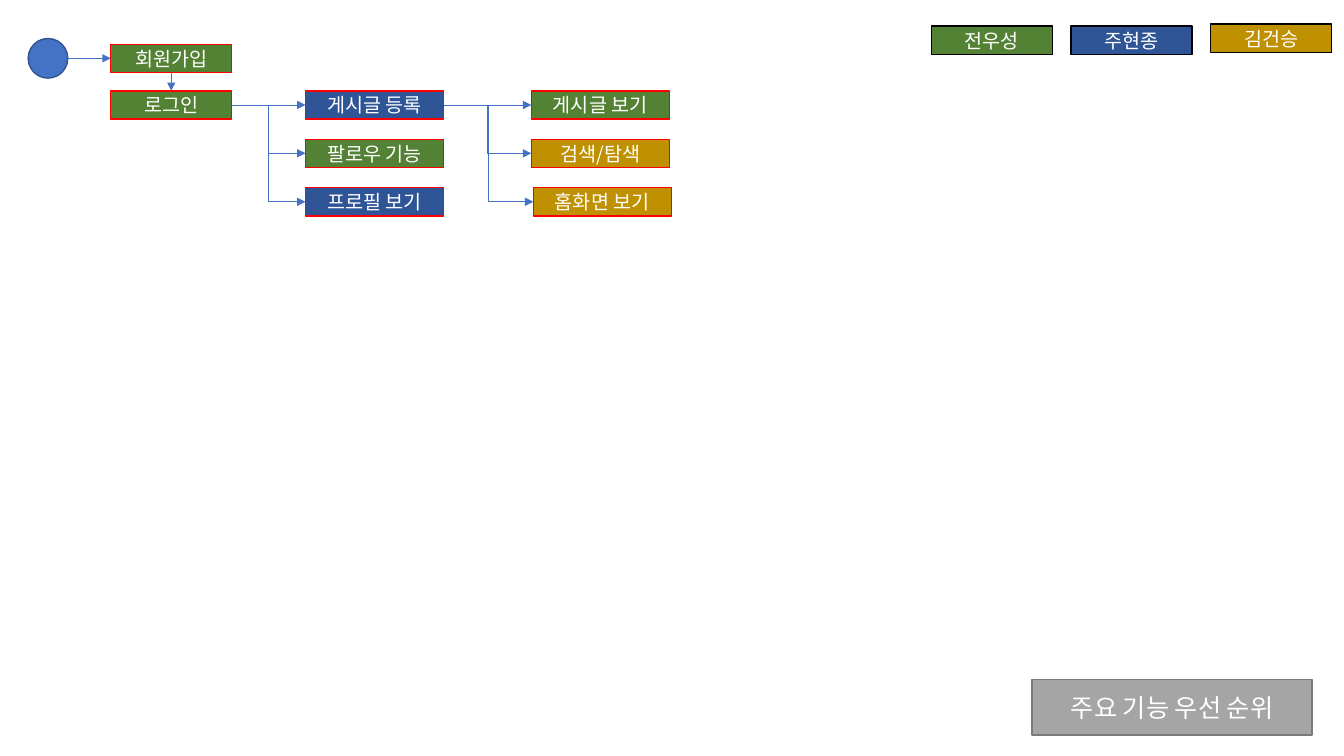
from dataclasses import dataclass
from lxml import etree
from pptx import Presentation
from pptx import util as u
from pptx.dml.color import RGBColor as Rgb
from pptx.enum import shapes, text
from pptx.oxml import ns


@dataclass(frozen=True)
class Theme:
    green: str = "548235"
    navy: str = "2F5597"
    gold: str = "BF9000"
    blue: str = "4472C4"
    rim: str = "325491"
    gray: str = "A5A5A5"
    edge: str = "7A7A7A"
    red: str = "FF0000"
    black: str = "000000"
    white: str = "FFFFFF"
    font: str = "Noto Sans CJK KR"
    body: int = 14
    head: int = 18


theme = Theme()
deck = Presentation()
deck.slide_width, deck.slide_height = u.Cm(33.87), u.Cm(19.05)
slide = deck.slides.add_slide(deck.slide_layouts[6])
KIND = shapes.MSO_SHAPE


def add_box(label, place, fill, line, size=theme.body, kind=KIND.RECTANGLE):
    box = slide.shapes.add_shape(kind, *map(u.Cm, place))
    box.shadow.inherit = False
    box.fill.solid()
    box.fill.fore_color.rgb = Rgb.from_string(fill)
    box.line.color.rgb = Rgb.from_string(line)
    box.line.width = u.Pt(1)
    if label:
        frame = box.text_frame
        frame.vertical_anchor = text.MSO_ANCHOR.MIDDLE
        para = frame.paragraphs[0]
        para.alignment = text.PP_ALIGN.CENTER
        run = para.add_run()
        run.text = label
        run.font.color.rgb = Rgb.from_string(theme.white)
        for key, val in {"name": theme.font, "size": u.Pt(size)}.items():
            setattr(run.font, key, val)
        # Hangul takes its typeface from a:ea
        east = etree.SubElement(run.font._element, ns.qn("a:ea"))
        east.set("typeface", theme.font)
    return box


def add_arrow(start, end, sites=(3, 1)):
    """Join two boxes; bend the line when their side sites differ in height."""
    bent = sites == (3, 1) and start.top != end.top
    kind = shapes.MSO_CONNECTOR.ELBOW if bent else shapes.MSO_CONNECTOR.STRAIGHT
    mid = start.top + start.height // 2
    arrow = slide.shapes.add_connector(kind, start.left + start.width, mid, end.left, mid)
    if start.auto_shape_type != KIND.OVAL:
        arrow.begin_connect(start, sites[0])
        arrow.end_connect(end, sites[1])
    arrow.line.color.rgb = Rgb.from_string(theme.blue)
    arrow.line.width = u.Pt(0.5)
    tail = etree.SubElement(arrow.line._get_or_add_ln(), ns.qn("a:tailEnd"))
    tail.set("type", "triangle")
    etree.SubElement(arrow._element.spPr, ns.qn("a:effectLst"))


# Flow: entry column, then two columns of three features
slim, wide, high = 3.05, 3.48, 0.71
top, step = 2.29, 1.22

start = add_box("", (0.71, 0.97, 1, 1), theme.blue, theme.rim, kind=KIND.OVAL)
join = add_box("회원가입", (2.79, 1.12, slim, high), theme.green, theme.red)
login = add_box("로그인", (2.79, top, slim, high), theme.green, theme.red)
add_arrow(start, join)
add_arrow(join, login, (2, 0))

stages = [
    [("게시글 등록", 7.7, theme.navy),
     ("팔로우 기능", 7.7, theme.green),
     ("프로필 보기", 7.7, theme.navy)],
    [("게시글 보기", 13.39, theme.green),
     ("검색/탐색", 13.39, theme.gold),
     ("홈화면 보기", 13.44, theme.gold)],
]
source = login
for stage in stages:
    boxes = [add_box(label, (left, top + row * step, wide, high), fill, theme.red)
             for row, (label, left, fill) in enumerate(stage)]
    for box in boxes:
        add_arrow(source, box)
    source = boxes[0]

# Legend of owners
owners = [("전우성", 0.66, theme.green),
          ("주현종", 0.66, theme.navy),
          ("김건승", 0.61, theme.gold)]
for col, (name, y, fill) in enumerate(owners):
    add_box(name, (23.47 + col * 3.52, y, slim, high), fill, theme.black)

add_box("주요 기능 우선 순위", (26.01, 17.12, 7.06, 1.4), theme.gray, theme.edge, theme.head)

deck.save("out.pptx")
